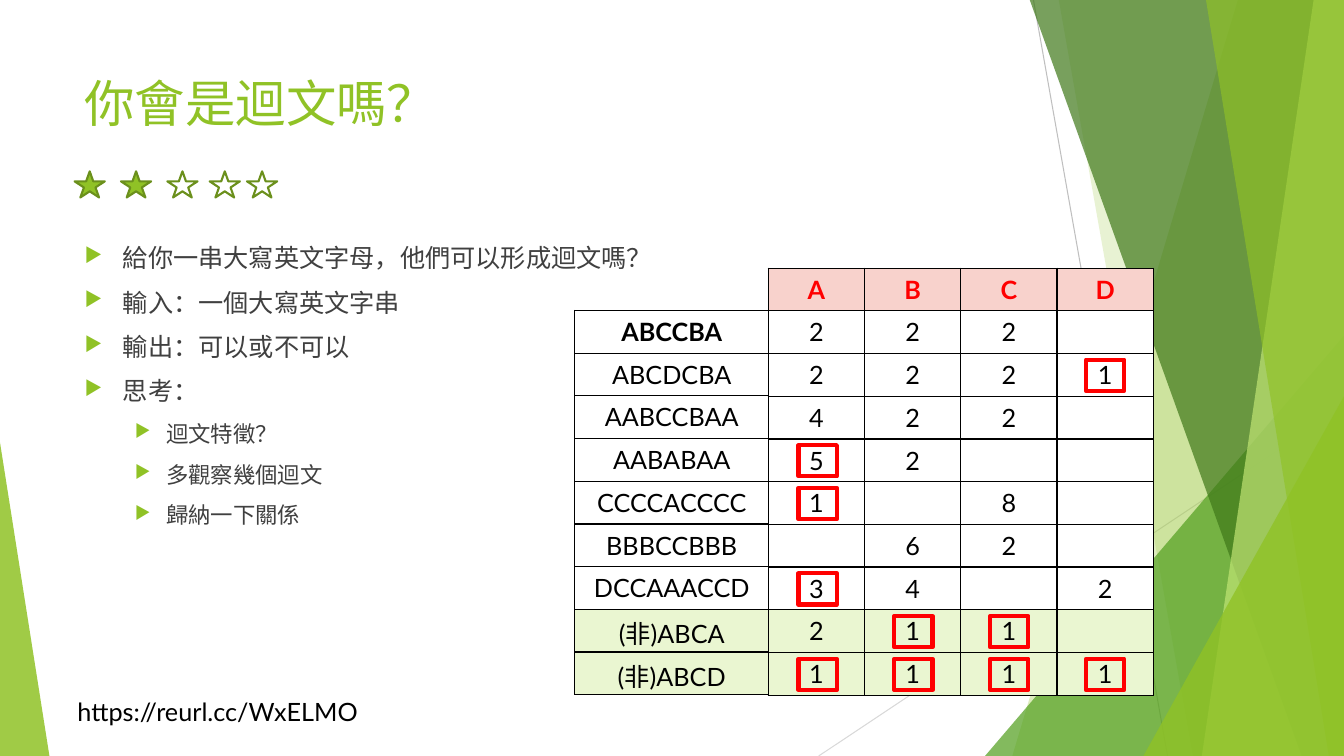
from lxml import etree
from pptx import Presentation
from pptx import util as u
from pptx.dml.color import RGBColor
from pptx.enum import shapes, text
from pptx.oxml.ns import qn

FONT = "Lato"
GREEN, DARK_GREEN, RED, BLACK = "90C226", "6B901C", "FF0000", "000000"
PINK, PALE_GREEN, WHITE = "F8D2CC", "EAF6D1", "FFFFFF"
TOP, BOTTOM, RIGHT = -0.01, 7.5, 13.33

POINTS = [
    ("給你一串大寫英文字母，他們可以形成迴文嗎？", 0),
    ("輸入：一個大寫英文字串", 0),
    ("輸出：可以或不可以", 0),
    ("思考：", 0),
    ("迴文特徵？", 1),
    ("多觀察幾個迴文", 1),
    ("歸納一下關係", 1),
]
LETTERS = "ABCD"
WORDS = {
    "ABCCBA": (2, 2, 2, ""),
    "ABCDCBA": (2, 2, 2, 1),
    "AABCCBAA": (4, 2, 2, ""),
    "AABABAA": (5, 2, "", ""),
    "CCCCACCCC": (1, "", 8, ""),
    "BBBCCBBB": ("", 6, 2, ""),
    "DCCAAACCD": (3, 4, "", 2),
    "(非)ABCA": (2, 1, 1, ""),
    "(非)ABCD": (1, 1, 1, 1),
}
COUNT_LEFT, COUNT_TOP = 7.62, 2.66
ROW_HEIGHT, COUNT_WIDTH = 0.424, 0.955


def rgb(value):
    return RGBColor.from_string(value)


def set_fill(shape, color, opacity=100):
    if color is None:
        shape.fill.background()
        return
    shape.fill.solid()
    shape.fill.fore_color.rgb = rgb(color)
    if opacity < 100:
        fill = shape._element.spPr.find(qn("a:solidFill"))
        etree.SubElement(fill[0], qn("a:alpha"), val=str(opacity * 1000))


def set_line(shape, color, width):
    if color is None:
        shape.line.fill.background()
        return
    shape.line.color.rgb = rgb(color)
    shape.line.width = u.Pt(width)


def add_preset(slide, kind, box, fill=None, opacity=100, line=None, width=1):
    shape = slide.shapes.add_shape(kind, *map(u.Inches, box))
    shape.shadow.inherit = False
    set_fill(shape, fill, opacity)
    set_line(shape, line, width)
    return shape


def add_triangle(slide, box, color, opacity, apex):
    """apex is the place of the tip along the width, 0 to 1."""
    kind = shapes.MSO_SHAPE.ISOSCELES_TRIANGLE
    add_preset(slide, kind, box, color, opacity).adjustments[0] = apex


def add_band(slide, top_left, bottom_left, color, opacity):
    """Fill from a slanted left edge to the right edge of the slide."""
    corners = [(top_left, TOP), (RIGHT, TOP), (RIGHT, BOTTOM), (bottom_left, BOTTOM)]
    points = [(u.Inches(x), u.Inches(y)) for x, y in corners]
    builder = slide.shapes.build_freeform(*points[0])
    builder.add_line_segments(points[1:], close=True)
    shape = builder.convert_to_shape()
    shape.shadow.inherit = False
    set_fill(shape, color, opacity)
    set_line(shape, None, 0)


def add_line(slide, start, end, color):
    line = slide.shapes.add_connector(
        shapes.MSO_CONNECTOR.STRAIGHT, *map(u.Inches, start + end))
    set_line(line, color, 0.75)
    etree.SubElement(line._element.spPr, qn("a:effectLst"))


def add_run(paragraph, words, size, color, bold=False):
    run = paragraph.add_run()
    run.text = words
    run.font.name = FONT
    run.font.size = u.Pt(size)
    run.font.bold = bold
    run.font.color.rgb = rgb(color)


def add_text_frame(slide, box, wrap=True):
    frame = slide.shapes.add_textbox(*map(u.Inches, box)).text_frame
    frame.word_wrap = wrap
    return frame


def add_bullet(paragraph, level):
    left, hang = ((0.38, 0.38), (0.81, 0.31))[level]
    properties = paragraph._p.get_or_add_pPr()
    properties.set("marL", str(u.Inches(left)))
    properties.set("indent", str(-u.Inches(hang)))
    color = etree.SubElement(properties, qn("a:buClr"))
    etree.SubElement(color, qn("a:srgbClr"), val=GREEN)
    etree.SubElement(properties, qn("a:buSzPct"), val="80000")
    etree.SubElement(properties, qn("a:buChar"), char="▶")


def add_points(slide):
    frame = add_text_frame(slide, (0.74, 2.36, 9.4, 4.24))
    for index, (words, level) in enumerate(POINTS):
        paragraph = frame.add_paragraph() if index else frame.paragraphs[0]
        paragraph.level = level
        add_bullet(paragraph, level)
        paragraph.space_before = u.Pt(10 if index else 0)
        add_run(paragraph, words, 16 if level else 18, "404040")


def add_borders(cell):
    properties = cell._tc.get_or_add_tcPr()
    for side in ("lnL", "lnR", "lnT", "lnB"):
        border = etree.SubElement(properties, qn("a:" + side), w=str(u.Pt(1)))
        fill = etree.SubElement(border, qn("a:solidFill"))
        etree.SubElement(fill, qn("a:srgbClr"), val=BLACK)


def fill_cell(cell, value, fill, color=BLACK, bold=False):
    add_borders(cell)
    cell.vertical_anchor = text.MSO_ANCHOR.MIDDLE
    cell.fill.solid()
    cell.fill.fore_color.rgb = rgb(fill)
    paragraph = cell.text_frame.paragraphs[0]
    paragraph.alignment = text.PP_ALIGN.CENTER
    if value != "":
        add_run(paragraph, str(value), 18, color, bold)


def add_grid(slide, left, top, rows, columns, column_width):
    box = (left, top, columns * column_width, rows * ROW_HEIGHT)
    table = slide.shapes.add_table(rows, columns, *map(u.Inches, box)).table
    table.first_row = table.horz_banding = False
    for column in table.columns:
        column.width = u.Inches(column_width)
    for row in table.rows:
        row.height = u.Inches(ROW_HEIGHT)
    return table


def row_fill(word):
    return PALE_GREEN if word.startswith("(非)") else WHITE


def add_tables(slide):
    words = add_grid(slide, 5.7, COUNT_TOP + 0.42, len(WORDS), 1, 1.925)
    counts = add_grid(slide, COUNT_LEFT, COUNT_TOP, len(WORDS) + 1,
                      len(LETTERS), COUNT_WIDTH)
    for column, letter in enumerate(LETTERS):
        fill_cell(counts.cell(0, column), letter, PINK, RED, True)
    for row, (word, values) in enumerate(WORDS.items()):
        fill_cell(words.cell(row, 0), word, row_fill(word), bold=row == 0)
        for column, value in enumerate(values):
            fill_cell(counts.cell(row + 1, column), value, row_fill(word))


def mark_odd_counts(slide):
    for row, values in enumerate(WORDS.values(), 1):
        for column, value in enumerate(values):
            if value != "" and value % 2:
                box = (COUNT_LEFT + 0.3 + column * 0.95,
                       COUNT_TOP + 0.06 + row * ROW_HEIGHT, 0.38, 0.31)
                add_preset(slide, shapes.MSO_SHAPE.RECTANGLE, box, line=RED, width=3)


def add_rating(slide, filled):
    for index, left in enumerate((0.74, 1.2, 1.66, 2.08, 2.45)):
        add_preset(slide, shapes.MSO_SHAPE.STAR_5_POINT, (left, 1.7, 0.3, 0.26),
                   GREEN if index < filled else None, line=DARK_GREEN, width=1.5)


def add_backdrop(slide):
    add_line(slide, (10.25, 0), (11.58, BOTTOM), "BFBFBF")
    add_line(slide, (RIGHT, 4.03), (8.12, BOTTOM), "D9D9D9")
    add_band(slide, 12.28, 10.04, GREEN, 30)
    add_band(slide, 10.5, 11.83, GREEN, 20)
    add_triangle(slide, (9.77, 3.33, 3.56, 4.17), "54A021", 72, 1)
    add_band(slide, 10.21, 12.91, "3F7819", 70)
    add_band(slide, 13.03, 11.92, "C0E474", 70)
    add_band(slide, 11.96, 13.18, GREEN, 65)
    add_triangle(slide, (11.34, 3.93, 1.99, 3.57), GREEN, 80, 1)
    add_triangle(slide, (0, 4.39, 0.49, 3.11), GREEN, 85, 0)


def main():
    presentation = Presentation()
    presentation.slide_width = u.Inches(RIGHT)
    presentation.slide_height = u.Inches(BOTTOM)
    slide = presentation.slides.add_slide(presentation.slide_layouts[6])
    add_backdrop(slide)
    link = add_text_frame(slide, (0.67, 6.86, 3.12, 0.4), wrap=False)
    add_run(link.paragraphs[0], "https://reurl.cc/WxELMO", 18, BLACK)
    title = add_text_frame(slide, (0.74, 0.67, 9.4, 1.44))
    add_run(title.paragraphs[0], "你會是迴文嗎？", 36, GREEN)
    add_points(slide)
    add_tables(slide)
    mark_odd_counts(slide)
    add_rating(slide, filled=2)
    presentation.save("out.pptx")


if __name__ == "__main__":
    main()
